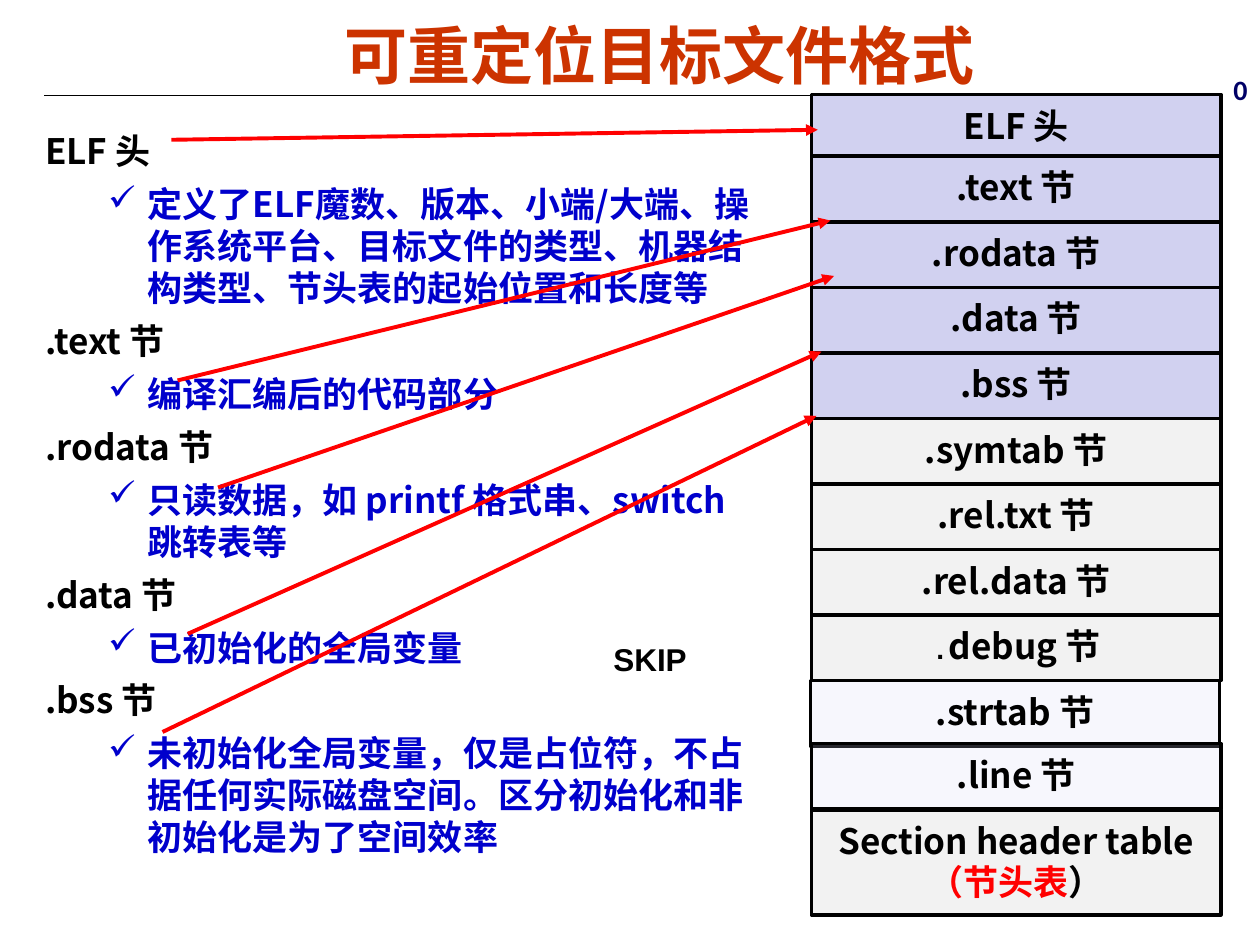
from lxml import etree
from pptx import Presentation
from pptx.dml.color import RGBColor
from pptx.enum.shapes import MSO_CONNECTOR, MSO_SHAPE
from pptx.enum.text import MSO_ANCHOR, PP_ALIGN
from pptx.oxml.ns import qn
from pptx.util import Pt

LINE = MSO_CONNECTOR.STRAIGHT
RECT = MSO_SHAPE.RECTANGLE
MID, TOP = MSO_ANCHOR.MIDDLE, MSO_ANCHOR.TOP
MIDDLE, LEFT = PP_ALIGN.CENTER, PP_ALIGN.LEFT
NOTO = "Noto Sans CJK SC"
BLACK, BLUE, RED = "000000", "0000CC", "FF0000"
LILAC, GREY, PALE = "D1D1F0", "F2F2F2", "D6D6F5"
EDGE, WIDE, HIGH, STEP = 463.68, 234, 37.44, 37.44


def color(code):
    return RGBColor.from_string(code)


class Deck:
    def __init__(self, slide):
        self.slide = slide
        self.font = NOTO
        self.size = 20

    def style(self, run, code=BLACK, size=None, face=None):
        font = run.font
        font.name = face or self.font
        font.size = Pt(size or self.size)
        font.bold = True
        font.color.rgb = color(code)
        east = etree.SubElement(run._r.get_or_add_rPr(), qn("a:ea"))
        east.set("typeface", NOTO)

    def text(self, box, words, code=BLACK, size=None, face=None,
             align=LEFT, space=None, wrap=False):
        at = self.slide.shapes.add_textbox(*map(Pt, box))
        frame = at.text_frame
        frame.word_wrap = wrap
        frame.text = words
        para = frame.paragraphs[0]
        para.alignment = align
        para.line_spacing = space
        self.style(para.runs[0], code, size, face)
        return frame

    def notes(self, box, pairs):
        frame = self.slide.shapes.add_textbox(*map(Pt, box)).text_frame
        frame.word_wrap = True
        items = [item for pair in pairs for item in pair]
        frame.text = "\n".join(items)
        for i, para in enumerate(frame.paragraphs):
            code = BLUE if i % 2 else BLACK
            para.space_before = Pt(6.2 if i else 0)
            props = para._p.get_or_add_pPr()
            if i % 2:
                para.level = 1
                props.set("marL", str(Pt(58.5)))
                props.set("indent", str(-Pt(22.5)))
                tint = etree.SubElement(props, qn("a:buClr"))
                etree.SubElement(tint, qn("a:srgbClr")).set("val", BLUE)
                mark = etree.SubElement(props, qn("a:buChar"))
                mark.set("char", "✓")
            else:
                props.set("marL", str(Pt(27)))
                props.set("indent", str(-Pt(27)))
            self.style(para.runs[0], code)

    def cell(self, top, words, fill, space=0.94, left=EDGE, high=HIGH,
             alpha=None):
        box = self.slide.shapes.add_shape(
            RECT, *map(Pt, (left, top, WIDE, high)))
        box.shadow.inherit = False
        box.fill.solid()
        box.fill.fore_color.rgb = color(fill)
        if alpha:
            tint = box._element.spPr.find(".//" + qn("a:srgbClr"))
            etree.SubElement(tint, qn("a:alpha")).set("val", str(alpha * 1000))
        box.line.color.rgb = color(BLACK)
        box.line.width = Pt(2)
        frame = box.text_frame
        frame.word_wrap = False
        frame.vertical_anchor = MID
        frame.text = words
        for para in frame.paragraphs:
            para.alignment = MIDDLE
            para.line_spacing = space
            for run in para.runs:
                self.style(run)
        return frame

    def rule(self, start, end, code, width, head=False):
        line = self.slide.shapes.add_connector(
            LINE, *map(Pt, (*start, *end)))
        line.line.color.rgb = color(code)
        line.line.width = Pt(width)
        if head:
            tail = etree.SubElement(line.line._get_or_add_ln(),
                                    qn("a:tailEnd"))
            tail.set("type", "triangle")
        etree.SubElement(line._element.spPr, qn("a:effectLst"))


def main():
    prs = Presentation()
    prs.slide_width, prs.slide_height = Pt(720), Pt(540)
    deck = Deck(prs.slides.add_slide(prs.slide_layouts[6]))

    deck.rule((25.2, 54.7), (694.8, 54.7), BLACK, 0.75)
    title = deck.text((33.8, 0, 686.2, 62), "可重定位目标文件格式", "CC3300",
                      36, "Arial", MIDDLE, wrap=True)
    title.vertical_anchor = MID

    deck.notes((18.7, 70.6, 421.2, 452.2), [
        ("ELF 头", "定义了ELF魔数、版本、小端/大端、操作系统平台、"
         "目标文件的类型、机器结构类型、节头表的起始位置和长度等"),
        (".text 节", "编译汇编后的代码部分"),
        (".rodata 节", "只读数据，如 printf 格式串、switch 跳转表等"),
        (".data 节", "已初始化的全局变量"),
        (".bss 节", "未初始化全局变量，仅是占位符，不占据任何实际磁盘空间。"
         "区分初始化和非初始化是为了空间效率"),
    ])

    deck.cell(54, "ELF 头", LILAC, 0.98)
    names = ["text", "rodata", "data", "bss", "symtab", "rel.txt", "rel.data"]
    for i, name in enumerate(names):
        fill = LILAC if i < 4 else GREY
        deck.cell(89.3 + i * STEP, f".{name} 节", fill)

    debug = deck.cell(89.3 + 7 * STEP, ".", GREY).paragraphs[0]
    debug.runs[0].font.name = "Courier New"
    debug.runs[0].font.size = Pt(16)
    word = debug.add_run()
    word.text = "debug 节"
    deck.style(word)

    table = deck.cell(463, "Section header table\n（节头表", GREY, 0.98,
                      high=59.8)
    last = table.paragraphs[1]
    last.runs[0].font.color.rgb = color(RED)
    close = last.add_run()
    close.text = "）"
    deck.style(close)

    deck.cell(89.3 + 8 * STEP, ".strtab 节", PALE, left=463, alpha=19)
    deck.cell(424.8, ".line 节", PALE, alpha=19)
    deck.text((697.7, 38.9, 22.3, 25.9), "0", "000066", 16, "Calibri",
              space=0.98)

    for start, end in [
        ((97.9, 79.9), (467.3, 74.2)),
        ((101.5, 217.4), (474.5, 126)),
        ((124.6, 278.6), (476.6, 157.7)),
        ((107.3, 362.2), (469.4, 200.9)),
        ((92.9, 418.3), (466.6, 237.6)),
    ]:
        deck.rule(start, end, RED, 2.25, True)

    deck.text((343.4, 362.2, 67, 28.8), "SKIP", size=18, face="Arial",
              wrap=True)
    prs.save("out.pptx")


if __name__ == "__main__":
    main()
